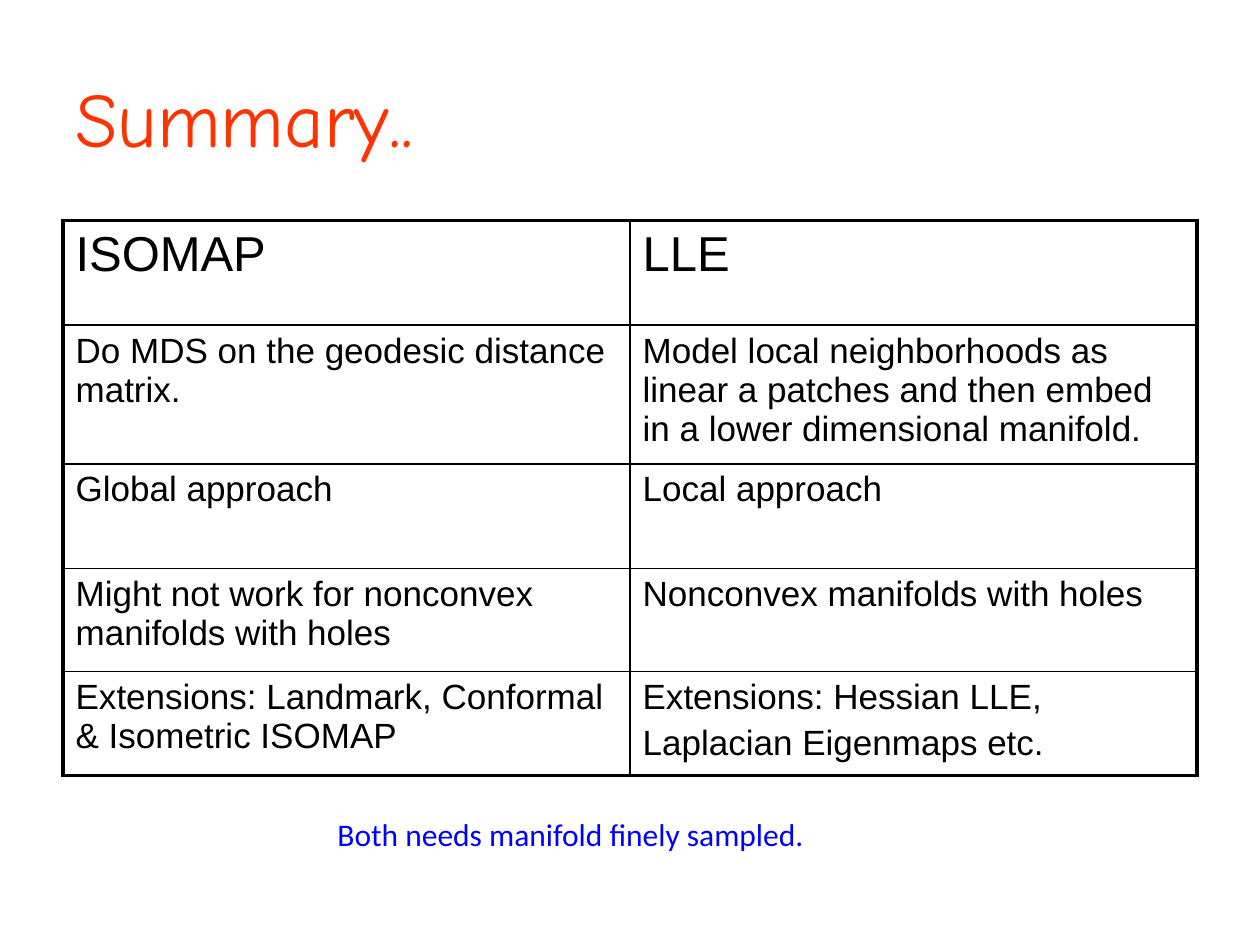
from pptx import Presentation
from pptx.dml.color import RGBColor
from pptx.enum.text import MSO_ANCHOR, MSO_AUTO_SIZE
from pptx.oxml import parse_xml
from pptx.oxml.ns import nsdecls
from pptx.util import Inches, Pt

BLACK = RGBColor(0x00, 0x00, 0x00)
ORANGE = RGBColor(0xFF, 0x33, 0x00)
BLUE = RGBColor(0x00, 0x00, 0xFF)

THIN = 1
THICK = 2.25
ROW_HEIGHTS = [0.83, 0.82, 0.83, 0.82, 0.82]
COMPARISON = [
    (["ISOMAP"], ["LLE"]),
    (["Do MDS on the geodesic distance matrix."],
     ["Model local neighborhoods as linear a patches and then embed "
      "in a lower dimensional manifold."]),
    (["Global approach"], ["Local approach"]),
    (["Might not work for nonconvex manifolds with holes"],
     ["Nonconvex manifolds with holes"]),
    (["Extensions: Landmark, Conformal & Isometric ISOMAP"],
     ["Extensions: Hessian LLE,", "Laplacian Eigenmaps etc."]),
]


def add_span(para, text, font_name, size, color):
    span = para.add_run()
    span.text = text
    span.font.name = font_name
    span.font.size = Pt(size)
    span.font.color.rgb = color


def add_title(page, left, top, width, height):
    box = page.shapes.add_textbox(left, top, width, height)
    frame = box.text_frame
    frame.word_wrap = True
    frame.vertical_anchor = MSO_ANCHOR.MIDDLE
    add_span(frame.paragraphs[0], "Summary..", "Comic Neue", 44, ORANGE)


def set_borders(cell, widths):
    properties = cell._tc.get_or_add_tcPr()
    for position, (side, width) in enumerate(widths.items()):
        properties.insert(position, parse_xml(
            f'<a:{side} {nsdecls("a")} w="{Pt(width)}">'
            f'<a:solidFill><a:srgbClr val="{BLACK}"/></a:solidFill></a:{side}>'))


def fill_cell(cell, lines, size):
    cell.fill.background()
    frame = cell.text_frame
    for index, line in enumerate(lines):
        para = frame.add_paragraph() if index else frame.paragraphs[0]
        if index:
            para.space_before = Pt(size * 0.2)
        add_span(para, line, "Arial", size, BLACK)


def add_comparison(page, left, top, width, height):
    last_row, last_column = len(COMPARISON) - 1, len(COMPARISON[0]) - 1
    graphic = page.shapes.add_table(
        last_row + 1, last_column + 1, left, top, width, height)
    table = graphic.table
    table.first_row = False
    table.horz_banding = False
    for row, (row_height, entries) in enumerate(zip(ROW_HEIGHTS, COMPARISON)):
        table.rows[row].height = Inches(row_height)
        for column, lines in enumerate(entries):
            cell = table.cell(row, column)
            fill_cell(cell, lines, 20 if row else 28)
            set_borders(cell, {
                "lnL": THIN if column else THICK,
                "lnR": THICK if column == last_column else THIN,
                "lnT": THIN if row else THICK,
                "lnB": THICK if row == last_row else THIN,
            })
    graphic.height = height


def add_note(page, left, top, width, height):
    box = page.shapes.add_textbox(left, top, width, height)
    frame = box.text_frame
    frame.word_wrap = False
    frame.auto_size = MSO_AUTO_SIZE.SHAPE_TO_FIT_TEXT
    add_span(frame.paragraphs[0], "Both needs manifold finely sampled.",
             "Calibri", 18, BLUE)


def main():
    deck = Presentation()
    deck.slide_width = Inches(10)
    deck.slide_height = Inches(7.5)
    page = deck.slides.add_slide(deck.slide_layouts[6])
    add_title(page, Inches(0.5), Inches(0.3), Inches(9), Inches(1.25))
    add_comparison(page, Inches(0.5), Inches(1.75), Inches(9), Inches(4.41))
    add_note(page, Inches(2.58), Inches(6.42), Inches(4.31), Inches(0.4))
    deck.save("out.pptx")


if __name__ == "__main__":
    main()
